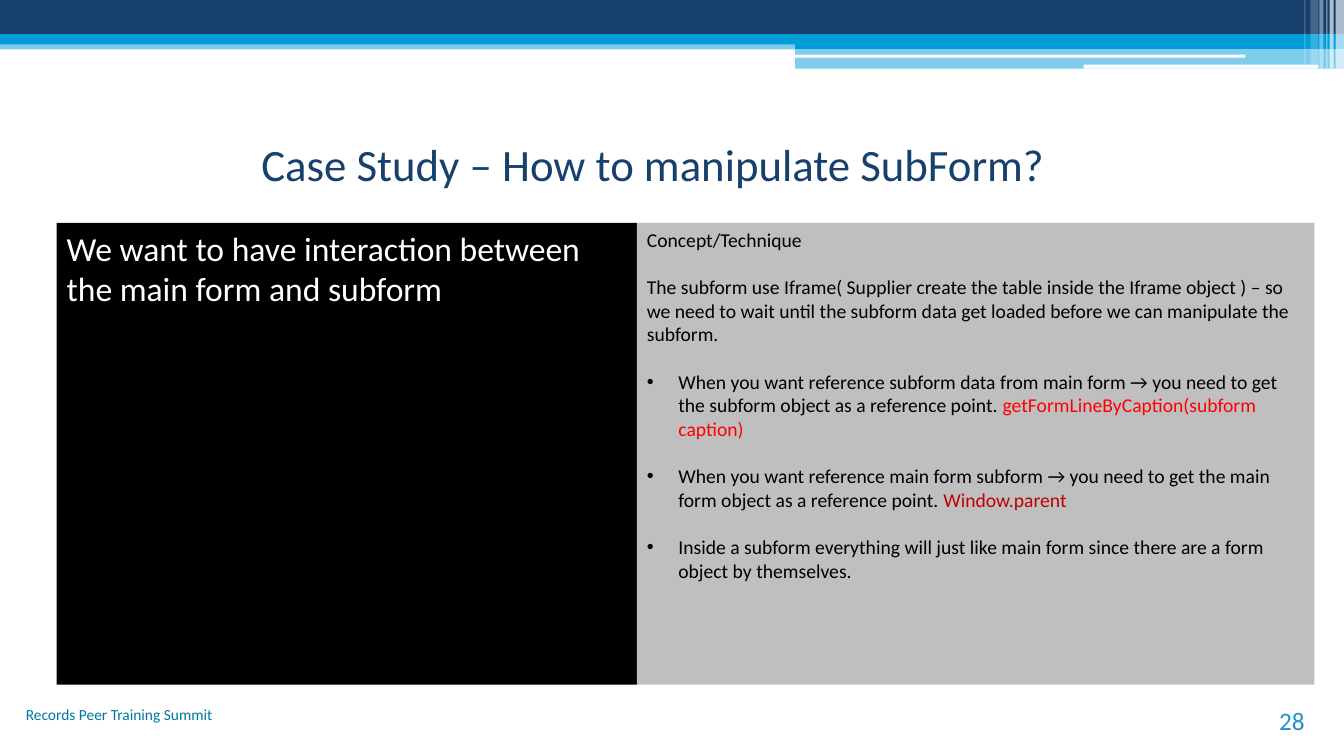
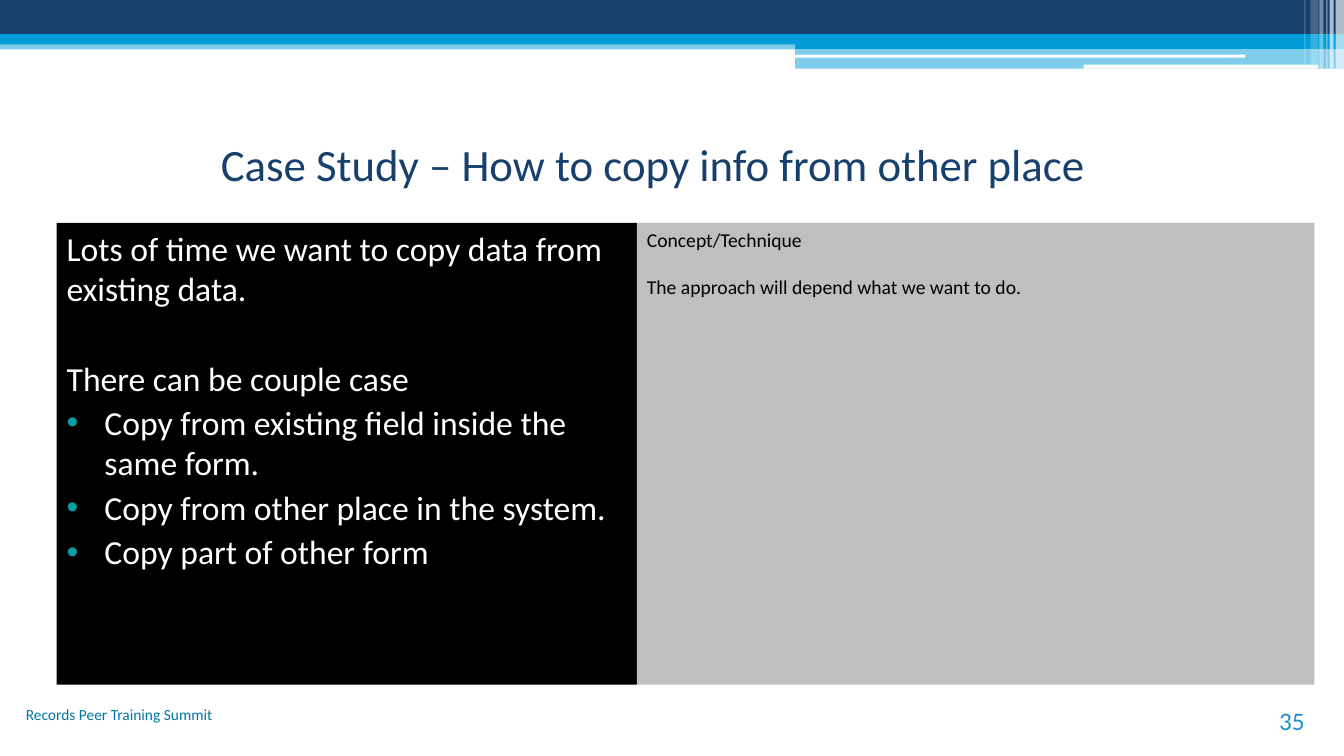
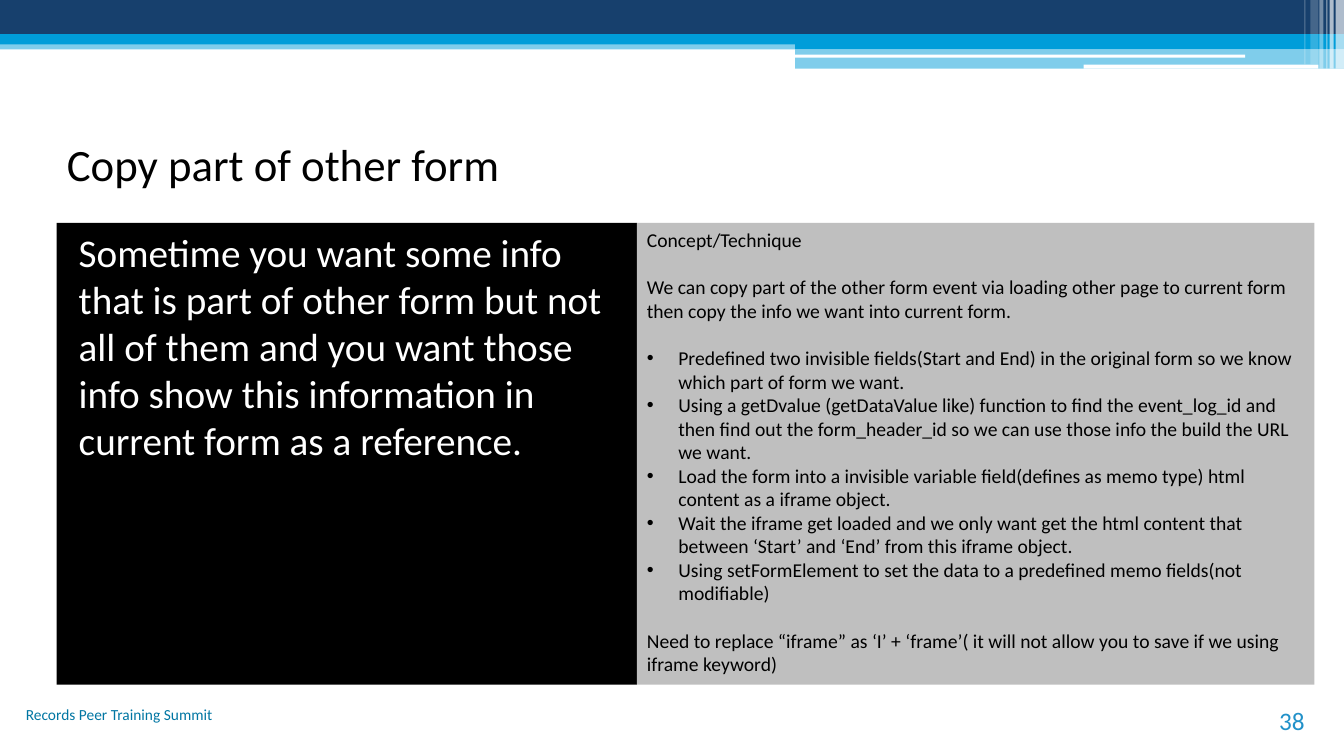
from dataclasses import dataclass
from lxml.etree import SubElement
from pptx import Presentation
from pptx.dml.color import RGBColor
from pptx.enum.shapes import MSO_SHAPE as Preset
from pptx.enum.text import MSO_ANCHOR as Anchor, PP_ALIGN as Align
from pptx.oxml.ns import qn
from pptx.util import Pt

FONT = "Calibri"
COLORS = {
    "navy": "17406D", "blue": "009DD9", "white": "FFFFFF", "black": "000000",
    "gray": "BFBFBF", "teal": "089CA3", "footer": "0076A3", "number": "2191C9",
    "red": "FF0000", "dark red": "C00000",
}


@dataclass
class Para:
    """One paragraph; marked is a coloured ending: (text, colour)."""
    text: str
    bullet: bool = False
    before: float = 0
    marked: tuple = ()
    indent: float = 0


# Content
FOOTER = "Records Peer Training Summit"
LINE = 17        # gap of one line of concept text
CASE_GAP = 3     # gap between paragraphs of the case text
CONCEPT = Para("Concept/Technique")

SLIDES = [
    {
        "title": "Case Study – How to manipulate SubForm?",
        "number": "28",
        "case": [Para("We want to have interaction between the main form and subform",
                      before=CASE_GAP)],
        "concept": [
            CONCEPT,
            Para("The subform use Iframe( Supplier create the table inside the Iframe object ) – "
                 "so we need to wait until the subform data get loaded before we can manipulate "
                 "the subform.", before=LINE),
            Para("When you want reference subform data from main form → you need to get the "
                 "subform object as a reference point. ", True, LINE,
                 ("getFormLineByCaption(subform caption)", "red")),
            Para("When you want reference main form subform → you need to get the main form "
                 "object as a reference point. ", True, LINE, ("Window.parent", "dark red")),
            Para("Inside a subform everything will just like main form since there are a form "
                 "object by themselves.", True, LINE),
        ],
    },
    {
        "title": "Case Study – How to copy info from other place",
        "number": "35",
        "case": [
            Para("Lots of time we want to copy data from existing data.", before=CASE_GAP),
            Para("There can be couple case", before=35),
            Para("Copy from existing field inside the same form.", True, CASE_GAP),
            Para("Copy from other place in the system.", True, CASE_GAP),
            Para("Copy part of other form", True, CASE_GAP),
        ],
        "concept": [CONCEPT,
                    Para("The approach will depend what we want to do.", before=LINE)],
    },
    {
        "title": "Copy part of other form",
        "title_align": Align.LEFT,
        "title_color": "black",
        "number": "38",
        "case_size": 28,
        "case": [Para("Sometime you want some info that is part of other form but not all of "
                      "them and you want those info show this information in current form as a "
                      "reference.", before=CASE_GAP, indent=8.64)],
        "concept": [
            CONCEPT,
            Para("We can copy part of the other form event via loading other page to current "
                 "form then copy the info we want into current form.", before=LINE),
            Para("Predefined two invisible fields(Start and End) in the original form so we know "
                 "which part of form we want.", True, LINE),
            Para("Using a getDvalue (getDataValue like) function to find the event_log_id and "
                 "then find out the form_header_id so we can use those info the build the URL "
                 "we want.", True),
            Para("Load the form into a invisible variable field(defines as memo type) html "
                 "content as a iframe object.", True),
            Para("Wait the iframe get loaded and we only want get the html content that between "
                 "‘Start’ and ‘End’ from this iframe object.", True),
            Para("Using setFormElement to set the data to a predefined memo fields(not "
                 "modifiable)", True),
            Para("Need to replace “iframe” as ‘I’ + ‘frame’( it will not allow you to save if we "
                 "using iframe keyword)", before=LINE),
        ],
    },
]

# Layout, in points: left, top, width, height
WIDTH, HEIGHT = 960, 540
TITLE_BOX = (40.5, 75, 852, 84)
CASE_BOX = (40.5, 159.2, 414.5, 329.8)
CONCEPT_BOX = (455, 159.2, 484, 329.8)
FOOTER_BOX = (0, 500, 159, 36)
NUMBER_BOX = (859, 500.4, 80, 28.8)

# Top bands: box, colour, opacity in percent
SPLIT = 568
BANDS = [
    ((0, 28.8, WIDTH, 6.5), "blue", 50),
    ((0, 0, WIDTH, 24.5), "navy", 100),
    ((0, 24.5, WIDTH, 7.2), "blue", 100),
    ((SPLIT, 28, WIDTH - SPLIT, 7.2), "blue", 100),
    ((SPLIT, 35.2, WIDTH - SPLIT, 13.8), "blue", 50),
    ((SPLIT, 39, 321.5, 2.2), "white", 100),
    ((774, 46.2, 167.8, 2.8), "white", 100),
]
# Stripes at the right edge: left, width, height, opacity
STRIPES = [(954, 6, 49, 65), (949.7, 2.9, 49, 65), (947.5, 0.7, 49, 60),
           (942.5, 2.9, 49, 40), (936, 5.8, 46, 20), (931.7, 0.7, 46, 30)]
BANDS += [((left, 0, width, height), "white", opacity)
          for left, width, height, opacity in STRIPES]


def rgb(name):
    return RGBColor.from_string(COLORS[name])


def points(box):
    return [Pt(value) for value in box]


def style(paragraph, size, color, align=Align.LEFT):
    paragraph.alignment = align
    font = paragraph.font
    font.name, font.size, font.color.rgb = FONT, Pt(size), rgb(color)


def add_rect(slide, box, color, opacity=100):
    rect = slide.shapes.add_shape(Preset.RECTANGLE, *points(box))
    rect.shadow.inherit = False
    rect.fill.solid()
    rect.fill.fore_color.rgb = rgb(color)
    rect.line.fill.background()
    if opacity < 100:
        fill_color = rect.element.xpath("./p:spPr/a:solidFill/a:srgbClr")[0]
        SubElement(fill_color, qn("a:alpha"), val=str(opacity * 1000))
    return rect


def set_indent(paragraph, left, bullet_color=None):
    props = paragraph._p.get_or_add_pPr()
    props.set("marL", str(Pt(left)))
    if bullet_color:
        props.set("indent", str(-Pt(left)))
        tint = SubElement(props, qn("a:buClr"))
        SubElement(tint, qn("a:srgbClr"), val=COLORS[bullet_color])
        SubElement(props, qn("a:buFont"), typeface="Arial")
        SubElement(props, qn("a:buChar"), char="•")


def add_panel(slide, box, fill, paras, size, color, hang, bullet_color):
    frame = add_rect(slide, box, fill).text_frame
    frame.word_wrap = True
    frame.vertical_anchor = Anchor.TOP
    for i, para in enumerate(paras):
        paragraph = frame.add_paragraph() if i else frame.paragraphs[0]
        if para.bullet:
            set_indent(paragraph, hang, bullet_color)
        elif para.indent:
            set_indent(paragraph, para.indent)
        paragraph.space_before = Pt(para.before)
        style(paragraph, size, color)
        paragraph.add_run().text = para.text
        if para.marked:
            ending = paragraph.add_run()
            ending.text = para.marked[0]
            ending.font.color.rgb = rgb(para.marked[1])


def add_label(slide, box, text, size, color, anchor):
    frame = slide.shapes.add_textbox(*points(box)).text_frame
    frame.word_wrap = True
    frame.vertical_anchor = anchor
    frame.text = text
    style(frame.paragraphs[0], size, color, Align.RIGHT)


def move_bands_to_layout(slide, layout):
    """Draw the bands once and place them behind everything on the layout."""
    for position, band in enumerate(BANDS, start=2):
        layout.shapes.element.insert(position, add_rect(slide, *band).element)


def build_slide(slide, content):
    title = slide.shapes.title
    title.left, title.top, title.width, title.height = points(TITLE_BOX)
    title.text_frame.text = content["title"]
    title.text_frame.vertical_anchor = Anchor.MIDDLE
    style(title.text_frame.paragraphs[0], 32, content.get("title_color", "navy"),
          content.get("title_align", Align.CENTER))
    add_panel(slide, CASE_BOX, "black", content["case"], content.get("case_size", 24),
              "white", 27, "teal")
    add_label(slide, FOOTER_BOX, FOOTER, 11, "footer", Anchor.TOP)
    add_label(slide, NUMBER_BOX, content["number"], 18, "number", Anchor.BOTTOM)
    add_panel(slide, CONCEPT_BOX, "gray", content["concept"], 14, "black", 22.5, "black")


def main():
    deck = Presentation()
    deck.slide_width, deck.slide_height = Pt(WIDTH), Pt(HEIGHT)
    layout = deck.slide_layouts.get_by_name("Title Only")
    for i, content in enumerate(SLIDES):
        slide = deck.slides.add_slide(layout)
        if i == 0:
            move_bands_to_layout(slide, layout)
        build_slide(slide, content)
    deck.save("out.pptx")


if __name__ == "__main__":
    main()
